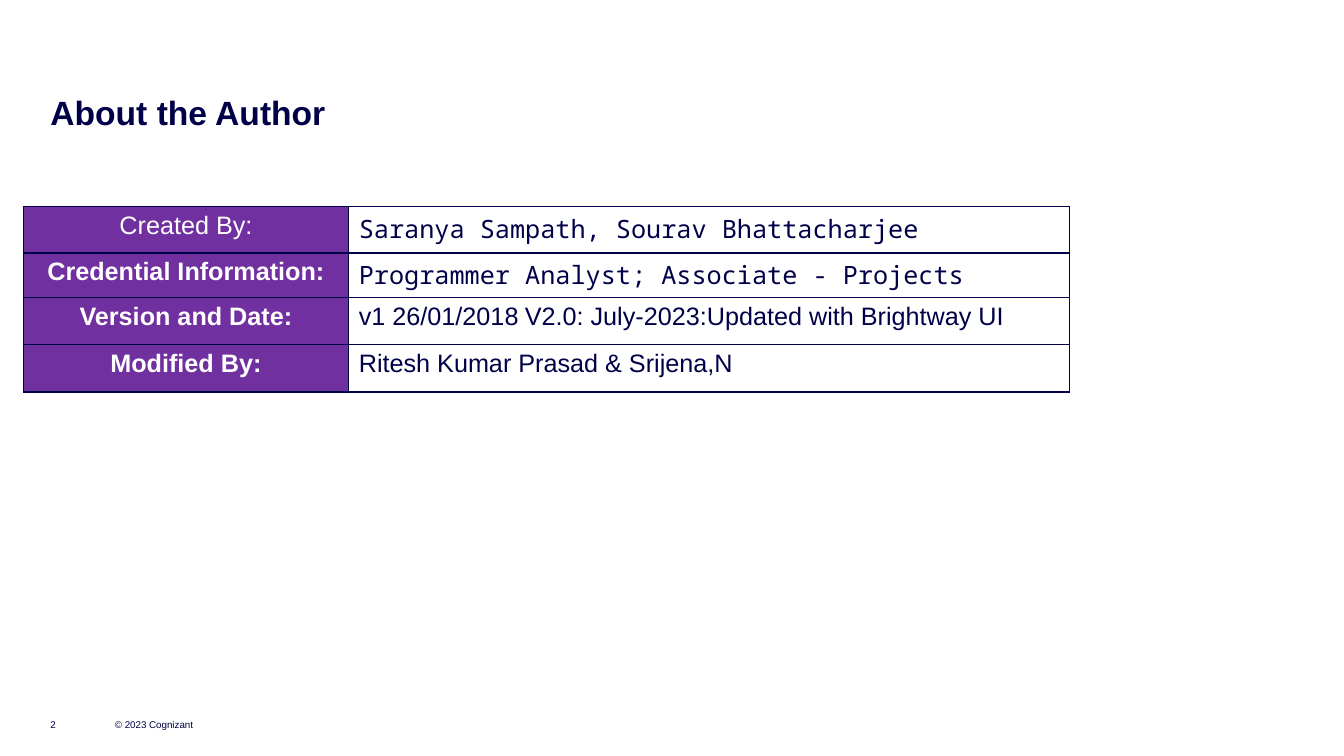
"""Build the author slide with its table of credits."""
from dataclasses import dataclass

from lxml import etree
from pptx import Presentation
from pptx import util as u
from pptx.dml.color import RGBColor
from pptx.enum import text as t
from pptx.oxml import ns

NAVY = RGBColor(0x00, 0x00, 0x48)
PLUM = RGBColor(0x70, 0x30, 0xA0)
WHITE = RGBColor(0xFF, 0xFF, 0xFF)
SANS, MONO = "Arial", "Noto Sans Mono"
COLS, ROWS = 133.33, 75
WIDE, HIGH = u.Inches(13.33), u.Inches(7.5)


@dataclass(frozen=True)
class Run:
    """A piece of text in one style."""
    words: str
    size: float = 18
    bold: bool = False
    color: RGBColor = NAVY
    face: str = SANS


@dataclass(frozen=True)
class Box:
    """A place on the grid, in columns and rows."""
    left: float
    top: float
    width: float
    height: float

    def place(self) -> tuple[int, int, int, int]:
        """Return the place as slide lengths."""
        return across(self.left), down(self.top), across(self.width), down(self.height)


@dataclass(frozen=True)
class Line:
    """A row of the table."""
    height: float
    label: Run
    value: tuple[Run, ...]


@dataclass(frozen=True)
class Note:
    """A small text at the foot of the slide."""
    box: Box
    words: str


def head(words: str, bold: bool = True) -> Run:
    """Make a label for the first column."""
    return Run(words, bold=bold, color=WHITE)


LINES = (
    Line(4.6, head("Created By:", False),
         (Run("Saranya Sampath, Sourav Bhattacharjee", face=MONO),)),
    Line(4.4, head("Credential Information:"),
         (Run("Programmer Analyst; Associate - Projects", face=MONO),)),
    Line(4.7, head("Version and Date:"),
         (Run("v1 26/01/2018"), Run(" ", 16),
          Run("V2.0: July-2023:Updated with Brightway UI"))),
    Line(4.7, head("Modified By:"), (Run("Ritesh Kumar Prasad & Srijena,N"),)),
)
SPANS = (32.3, 71.5)
GRID = Box(2.3, 20.5, sum(SPANS), sum(line.height for line in LINES))
TITLE = Box(5, 9.1, 118.2, 3.8)
NOTES = (
    Note(Box(11.4, 68.5, 13.1, 4), "© 2023 Cognizant"),
    Note(Box(5, 68.5, 3.9, 4), "2"),
)


def across(cols: float) -> int:
    """Turn grid columns into a length."""
    return round(WIDE * cols / COLS)


def down(rows: float) -> int:
    """Turn grid rows into a length."""
    return round(HIGH * rows / ROWS)


def write(frame, runs: tuple[Run, ...], align=t.PP_ALIGN.LEFT) -> None:
    """Fill the first paragraph of a frame with runs."""
    para = frame.paragraphs[0]
    para.alignment = align
    for run in runs:
        part = para.add_run()
        part.text = run.words
        part.font.name = run.face
        part.font.size = u.Pt(run.size)
        part.font.bold = run.bold
        part.font.color.rgb = run.color


def strip(frame, anchor) -> None:
    """Remove the insets of a frame and set its anchor."""
    frame.margin_left = frame.margin_right = 0
    frame.margin_top = frame.margin_bottom = 0
    frame.vertical_anchor = anchor


def edge(cell) -> None:
    """Draw a thin navy border on all sides of a cell."""
    props = cell._tc.get_or_add_tcPr()
    for spot, side in enumerate(("lnL", "lnR", "lnT", "lnB")):
        line = etree.Element(ns.qn(f"a:{side}"), w=str(u.Pt(1)))
        fill = etree.SubElement(line, ns.qn("a:solidFill"))
        etree.SubElement(fill, ns.qn("a:srgbClr"), val=str(NAVY))
        props.insert(spot, line)


def paint(cell, fill: RGBColor, runs: tuple[Run, ...], align) -> None:
    """Fill, border and write one cell."""
    cell.fill.solid()
    cell.fill.fore_color.rgb = fill
    edge(cell)
    write(cell.text_frame, runs, align)


def add_title(slide) -> None:
    """Place and write the title."""
    title = slide.shapes.title
    title.left, title.top, title.width, title.height = TITLE.place()
    frame = title.text_frame
    strip(frame, t.MSO_ANCHOR.TOP)
    frame.auto_size = t.MSO_AUTO_SIZE.SHAPE_TO_FIT_TEXT
    write(frame, (Run("About the Author", 24, True),))


def add_grid(slide) -> None:
    """Draw the table of credits."""
    table = slide.shapes.add_table(len(LINES), len(SPANS), *GRID.place()).table
    table.first_row = table.horz_banding = False
    for col, span in zip(table.columns, SPANS):
        col.width = across(span)
    for row, line in zip(table.rows, LINES):
        row.height = down(line.height)
        label, value = row.cells
        paint(label, PLUM, (line.label,), t.PP_ALIGN.CENTER)
        paint(value, WHITE, line.value, t.PP_ALIGN.LEFT)


def add_note(slide, note: Note) -> None:
    """Write one note at the foot."""
    frame = slide.shapes.add_textbox(*note.box.place()).text_frame
    frame.word_wrap = False
    strip(frame, t.MSO_ANCHOR.BOTTOM)
    write(frame, (Run(note.words, 7),))


def main() -> None:
    """Build and save the slide."""
    deck = Presentation()
    deck.slide_width, deck.slide_height = WIDE, HIGH
    slide = deck.slides.add_slide(deck.slide_layouts.get_by_name("Title Only"))
    slide.background.fill.solid()
    slide.background.fill.fore_color.rgb = WHITE
    for note in NOTES:
        add_note(slide, note)
    add_title(slide)
    add_grid(slide)
    deck.save("out.pptx")


if __name__ == "__main__":
    main()
